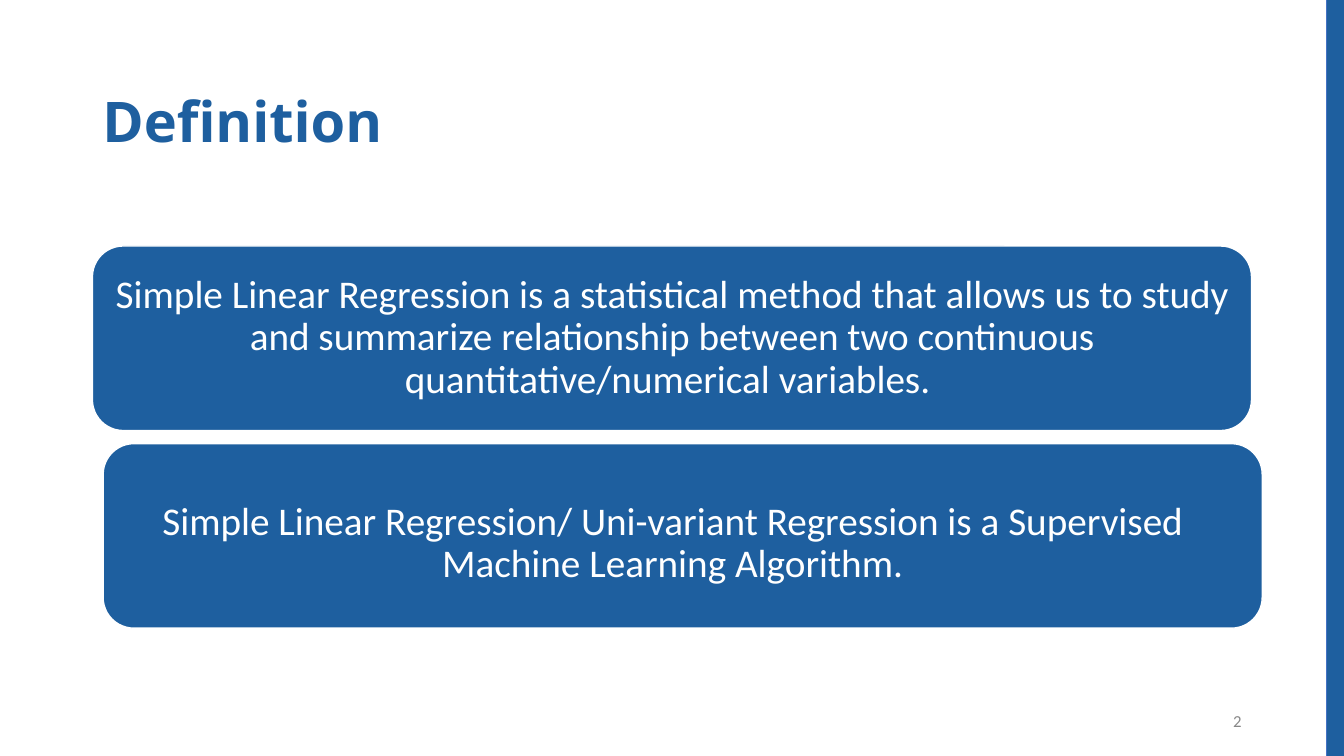
from pptx import Presentation
from pptx.dml.color import RGBColor
from pptx.enum.shapes import MSO_SHAPE
from pptx.enum.text import MSO_ANCHOR, PP_ALIGN
from pptx.util import Cm, Pt

COLOURS = {"blue": "1E5F9F", "edge": "4472C4", "white": "FFFFFF", "grey": "888888"}
CARD_WIDTH, CARD_HEIGHT = 29.21, 4.65


def colour(name):
    return RGBColor.from_string(COLOURS[name])


class SlideBuilder:
    body_font = "Calibri"
    title_font = "Open Sans"

    def __init__(self, slide):
        self.slide = slide

    def set_text(self, shape, text, size, ink, font, align, spacing, bold=False,
                 insets=(0.25, 0.13, 0.25, 0.13)):
        frame = shape.text_frame
        frame.word_wrap = True
        frame.vertical_anchor = MSO_ANCHOR.MIDDLE
        (frame.margin_left, frame.margin_top,
         frame.margin_right, frame.margin_bottom) = map(Cm, insets)
        frame.text = text
        paragraph = frame.paragraphs[0]
        paragraph.alignment = align
        paragraph.line_spacing = spacing
        for run in paragraph.runs:
            run.font.name = font
            run.font.size = Pt(size)
            run.font.bold = bold
            run.font.color.rgb = colour(ink)

    def title(self, text, *box):
        heading = self.slide.shapes.title
        heading.left, heading.top, heading.width, heading.height = map(Cm, box)
        self.set_text(heading, text, 40, "blue", self.title_font, PP_ALIGN.LEFT, 0.9, True)

    def block(self, kind, line, *box):
        block = self.slide.shapes.add_shape(kind, *map(Cm, box))
        block.shadow.inherit = False
        block.fill.solid()
        block.fill.fore_color.rgb = colour("blue")
        block.line.color.rgb = colour(line)
        block.line.width = Pt(1)
        return block

    def card(self, text, left, top, insets):
        card = self.block(MSO_SHAPE.ROUNDED_RECTANGLE, "white",
                          left, top, CARD_WIDTH, CARD_HEIGHT)
        card.adjustments[0] = 0.167
        self.set_text(card, text, 28, "white", self.body_font, PP_ALIGN.CENTER, 0.9,
                      insets=insets)

    def page_number(self, text, *box):
        number = self.slide.shapes.add_textbox(*map(Cm, box))
        self.set_text(number, text, 12, "grey", self.body_font, PP_ALIGN.RIGHT, 1.0)


def main():
    deck = Presentation()
    deck.slide_width, deck.slide_height = Cm(33.87), Cm(19.05)
    definition = SlideBuilder(deck.slides.add_slide(deck.slide_layouts[5]))
    definition.title("Definition", 2.33, 1.55, CARD_WIDTH, 3.15)
    definition.card(
        "Simple Linear Regression is a statistical method that allows us to study and "
        "summarize relationship between two continuous quantitative/numerical variables. ",
        2.33, 6.2, (0.3, 0.3, 0.3, 0.3))
    definition.card(
        "Simple Linear Regression/ Uni-variant Regression is a Supervised "
        "Machine Learning Algorithm.",
        2.6, 11.18, (0.05, 0.7, 0.56, 0.3))
    definition.page_number("2", 23.92, 17.65, 7.62, 1.02)
    definition.block(MSO_SHAPE.RECTANGLE, "edge", 33.43, -0.13, 0.51, 19.2)
    deck.save("out.pptx")


if __name__ == "__main__":
    main()
